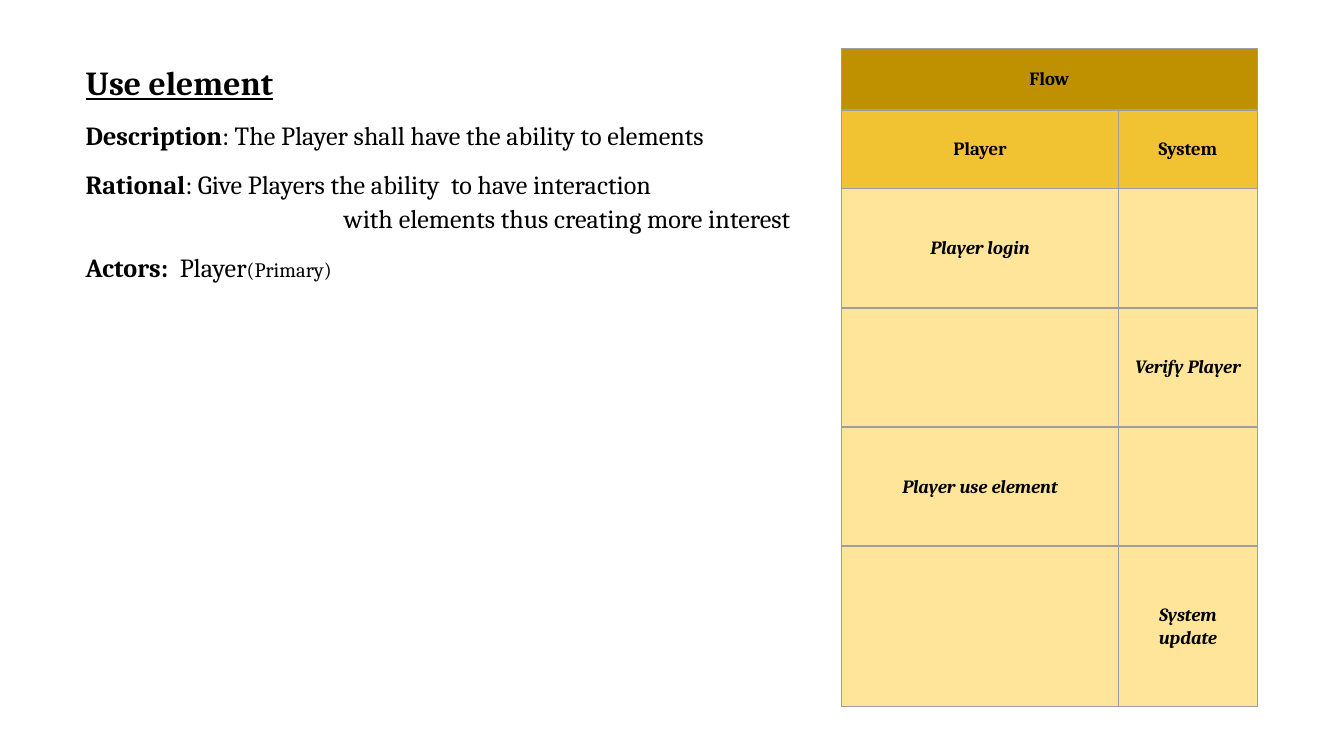
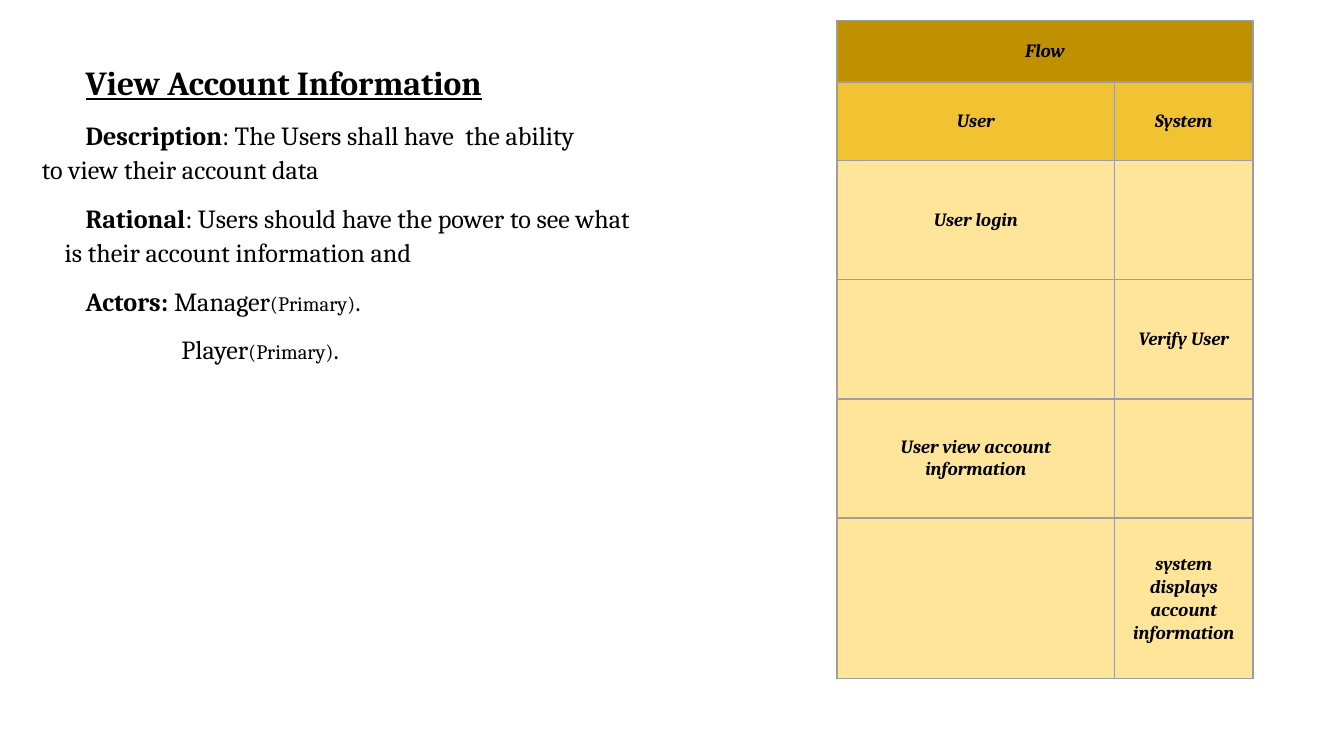
"""Build two use-case slides, each with a summary and a flow table."""
from lxml import etree
from pptx import Presentation
from pptx.dml.color import RGBColor
from pptx.enum.text import MSO_ANCHOR, MSO_AUTO_SIZE, PP_ALIGN
from pptx.oxml.ns import qn
from pptx.util import Cm, Pt

MIDDLE, TOP = MSO_ANCHOR.MIDDLE, MSO_ANCHOR.TOP
CENTER, LEFT = PP_ALIGN.CENTER, PP_ALIGN.LEFT
FIXED = MSO_AUTO_SIZE.NONE

FONT, INK, EDGE = "Cambria", "000000", "9E9E9E"
FILLS = ["BF9000", "F1C232"] + ["FFE599"] * 4
ROWS = [1.16, 1.49, 2.25, 2.25, 2.25, 3.03]
COL, COLS = 2.62, 3
PAD, FIRST, LOOSE = 0.25, 1.27, 1.08
BODY = {"left": Cm(0.1), "top": Cm(0.86), "width": Cm(15.37), "height": Cm(7.21)}
INSETS = {f"margin_{side}": Cm(PAD) for side in ("left", "right", "top", "bottom")}

STYLES = {
    "head": {"size": Pt(18), "bold": True, "underline": True},
    "key": {"size": Pt(14), "bold": True},
    "text": {"size": Pt(14), "bold": False},
    "small": {"size": Pt(11), "bold": False},
    "cell": {"size": Pt(10), "bold": True, "italic": False},
    "slant": {"size": Pt(10), "bold": True, "italic": True},
}

# Each line: first-line start, wrapped-line start, then (style, text) runs.
SLIDES = [
    {
        "lines": [
            (FIRST, 0, [("head", "Use element")]),
            (FIRST, 0, [("key", "Description"),
                        ("text", ": The Player shall have the ability to elements")]),
            (FIRST, 6.15, [("key", "Rational"),
                           ("text", ": Give Players the ability  to have interaction\n"
                                    "with elements thus creating more interest")]),
            (FIRST, 0, [("key", "Actors:  "), ("text", "Player"), ("small", "(Primary)")]),
        ],
        "flow": [("Flow", ""), ("Player", "System"), ("Player login", ""),
                 ("", "Verify Player"), ("Player use element", ""), ("", "System update")],
        "at": (15.9, 0.92), "slant": 2, "loose": 4,
    },
    {
        "lines": [
            (FIRST, 0, [("head", "View Account Information")]),
            (FIRST, 0.44, [("key", "Description"),
                           ("text", ": The Users shall have  the ability\n"
                                    "to view their account data")]),
            (FIRST, 0.87, [("key", "Rational"),
                           ("text", ": Users should have the power to see what\n"
                                    "is their account information and")]),
            (FIRST, 0, [("key", "Actors: "), ("text", "Manager"),
                        ("small", "(Primary)"), ("text", ".")]),
            (3.08, 0, [("text", "Player"), ("small", "(Primary)"), ("text", ".")]),
        ],
        "flow": [("Flow", ""), ("User", "System"), ("User login", ""),
                 ("", "Verify User"), ("User view account information", ""),
                 ("", "system displays account information")],
        "at": (15.82, 0.39), "slant": 0, "loose": 5,
    },
]


def put(item, values):
    """Set attributes from a dict."""
    for name, value in values.items():
        setattr(item, name, value)


def tint(code):
    """Turn a hex string into a colour."""
    return RGBColor.from_string(code)


def write(para, text, style):
    """Add styled text, breaking the line at each newline."""
    for n, part in enumerate(text.split("\n")):
        if n:
            para.add_line_break()
        run = para.add_run()
        run.text = part
        put(run.font, {"name": FONT, **STYLES[style]})
        run.font.color.rgb = tint(INK)


def fill_body(slide, lines):
    """Place the summary in the body placeholder."""
    title = slide.shapes.title.element
    title.getparent().remove(title)
    body = slide.placeholders[1]
    put(body, BODY)
    frame = body.text_frame
    put(frame, {"word_wrap": True, "auto_size": FIXED, "vertical_anchor": TOP, **INSETS})
    for n, (first, rest, runs) in enumerate(lines):
        para = frame.add_paragraph() if n else frame.paragraphs[0]
        props = para._p.get_or_add_pPr()
        props.set("marL", str(Cm(rest)))
        props.set("indent", str(Cm(first - rest)))
        etree.SubElement(props, qn("a:buNone"))
        put(para, {"line_spacing": LOOSE, "space_before": Pt(8 if n else 0),
                   "alignment": LEFT})
        for style, text in runs:
            write(para, text, style)


def frame_cell(cell):
    """Draw the four borders of a cell."""
    props = cell._tc.get_or_add_tcPr()
    for side in "LRTB":
        line = etree.SubElement(props, qn(f"a:ln{side}"), w=str(Pt(0.75)))
        solid = etree.SubElement(line, qn("a:solidFill"))
        etree.SubElement(solid, qn("a:srgbClr"), val=EDGE)


def add_flow(slide, flow, at, slant, loose):
    """Add the flow table."""
    left, top = at
    table = slide.shapes.add_table(len(ROWS), COLS, Cm(left), Cm(top),
                                   Cm(COL * COLS), Cm(sum(ROWS))).table
    put(table, {"first_row": False, "horz_banding": False})
    for col in table.columns:
        col.width = Cm(COL)
    for r, (high, fill, texts) in enumerate(zip(ROWS, FILLS, flow)):
        table.rows[r].height = Cm(high)
        for c in range(COLS):
            cell = table.cell(r, c)
            frame_cell(cell)
            cell.fill.solid()
            cell.fill.fore_color.rgb = tint(fill)
            put(cell, {"vertical_anchor": MIDDLE, **INSETS})
        table.cell(r, 0).merge(table.cell(r, 1 if r else COLS - 1))
        for c, text in zip((0, COLS - 1), texts):
            if text:
                para = table.cell(r, c).text_frame.paragraphs[0]
                put(para, {"alignment": CENTER,
                           "line_spacing": LOOSE if r >= loose else 1.0})
                write(para, text, "slant" if r >= slant else "cell")


def main():
    """Build and save the deck."""
    deck = Presentation()
    put(deck, {"slide_width": Cm(25.4), "slide_height": Cm(14.29)})
    for page in SLIDES:
        slide = deck.slides.add_slide(deck.slide_layouts[1])
        fill_body(slide, page["lines"])
        add_flow(slide, page["flow"], page["at"], page["slant"], page["loose"])
    deck.save("out.pptx")


if __name__ == "__main__":
    main()
